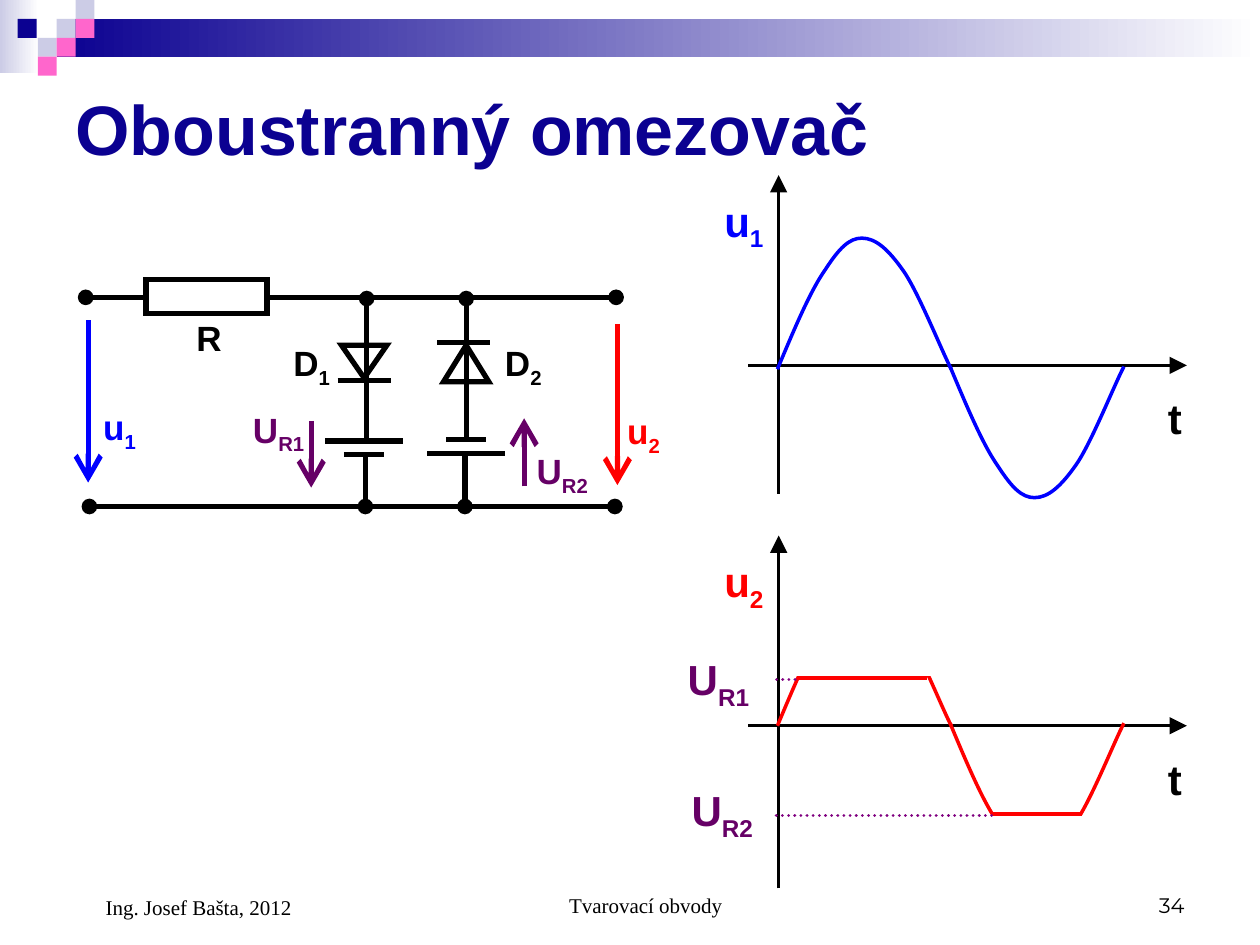
from lxml.etree import SubElement
from pptx import Presentation
from pptx.dml.color import RGBColor as RGB
from pptx.enum.dml import MSO_LINE as DASH
from pptx.enum.shapes import MSO_CONNECTOR as CONN, MSO_SHAPE as SHAPE
from pptx.enum.text import MSO_ANCHOR as ANCHOR, PP_ALIGN as ALIGN
from pptx.oxml.ns import qn
from pptx.util import Cm, Pt

COLORS = {"ink": "000000", "navy": "0B0191", "lilac": "CCCCE6", "pink": "FF66CC",
          "white": "FFFFFF", "blue": "0000FF", "red": "FF0000",
          "plum": "660066", "purple": "800080"}
HALF_WAVE = [(0.13, 0.31), (0.26, 0.62), (0.38, 0.79), (0.49, 0.96), (0.57, 1.04),
             (0.67, 1.04), (0.78, 1.04), (0.88, 0.95), (1, 0.78), (1.12, 0.61),
             (1.31, 0.13), (1.38, 0)]


def rgb(name):
    return RGB.from_string(COLORS[name])


def inches(*values):
    return [Cm(2.54 * v) for v in values]


class Board:
    """Draws styled elements on the current slide."""

    def __init__(self, slide, font="Arial"):
        self.s, self.font = slide, font

    def title(self, text, *box):
        sp = self.s.shapes.title
        sp.left, sp.top, sp.width, sp.height = inches(*box)
        sp.text_frame.vertical_anchor = ANCHOR.MIDDLE
        p = sp.text_frame.paragraphs[0]
        p.text, p.alignment = text, ALIGN.LEFT
        self.style(p, 40, "navy", self.font, True)

    def style(self, p, size, color, font, bold):
        p.font.size, p.font.name, p.font.bold = Pt(size), font, bold
        p.font.color.rgb = rgb(color)

    def text(self, box, text, size, color, sub="", font=None, bold=True,
             align=ALIGN.LEFT, anchor=ANCHOR.TOP, margin=0):
        tf = self.s.shapes.add_textbox(*inches(*box)).text_frame
        tf.word_wrap, tf.vertical_anchor = True, anchor
        p = tf.paragraphs[0]
        p.alignment = align
        if margin:
            p._p.get_or_add_pPr().set("marL", str(inches(margin)[0]))
        p.add_run().text = text
        if sub:
            r = p.add_run()
            r.text = sub
            r._r.get_or_add_rPr().set("baseline", "-25000")
        self.style(p, size, color, font or self.font, bold)

    def shape(self, box, fill=None, line=None, width=3, kind=SHAPE.RECTANGLE, fade=False):
        sp = self.s.shapes.add_shape(kind, *inches(*box))
        sp.shadow.inherit = False
        if fade:
            sp.fill.gradient()
            sp.fill.gradient_angle = 0
            for stop, color in zip(sp.fill.gradient_stops, (fill, "white")):
                stop.color.rgb = rgb(color)
        elif fill:
            sp.fill.solid()
            sp.fill.fore_color.rgb = rgb(fill)
        else:
            sp.fill.background()
        if line:
            sp.line.color.rgb, sp.line.width = rgb(line), Pt(width)
            SubElement(sp.line._get_or_add_ln(), qn("a:miter")).set("lim", "800000")
        else:
            sp.line.fill.background()
        return sp

    def line(self, ends, color="ink", width=3, head=None, tail=None, dash=None):
        sp = self.s.shapes.add_connector(CONN.STRAIGHT, *inches(*ends))
        sp.line.color.rgb, sp.line.width = rgb(color), Pt(width)
        ln = sp.line._get_or_add_ln()
        if dash:
            sp.line.dash_style = dash
            ln.set("cap", "rnd")
        SubElement(ln, qn("a:miter")).set("lim", "800000")
        for tag, kind in (("a:headEnd", head), ("a:tailEnd", tail)):
            if kind:
                size = "med" if kind == "oval" else "lg"
                SubElement(ln, qn(tag), type=kind, w=size, len=size)
        SubElement(sp._element.spPr, qn("a:effectLst"))

    def half_wave(self, x, y, sign, color):
        builder = self.s.shapes.build_freeform(*inches(x, y))
        builder.add_line_segments([inches(x + dx, y + sign * dy) for dx, dy in HALF_WAVE],
                                  close=False)
        sp = builder.convert_to_shape()
        steps = list(sp._element.iter(qn("a:lnTo")))
        for first, *others in zip(steps[::3], steps[1::3], steps[2::3]):
            first.tag = qn("a:cubicBezTo")
            for step in others:
                first.append(step[0])
                step.getparent().remove(step)
        sp.shadow.inherit = False
        sp.fill.background()
        sp.line.color.rgb, sp.line.width = rgb(color), Pt(2)

    def graph(self, axis_y, bottom, wave_y, index, color):
        self.line((5.94, axis_y, 9.42, axis_y), width=1.5, tail="triangle")
        self.line((6.18, bottom, 6.18, axis_y - 1.51), width=1.5, tail="triangle")
        self.text((5.65, axis_y - 1.4, 0.56, 0.56), "u", 24, color, index)
        self.text((9.17, axis_y + 0.17, 0.56, 0.5), "t", 24, "ink")
        self.half_wave(6.17, wave_y, -1, color)
        self.half_wave(7.54, wave_y - 0.02, 1, color)

    def branch(self, x, diode, bar_y, center, plates):
        self.line((x, 3.49, x, 2.37), tail="oval")
        sp = self.shape(diode, line="ink", kind=SHAPE.ISOSCELES_TRIANGLE)
        self.line((x - 0.23, bar_y, x + 0.19, bar_y))
        self.line((x - 0.01, 4.02, x - 0.01, 3.61), head="oval")
        for y, half in plates:
            self.line((center - half, y, center + half, y))
        return sp


def main():
    prs = Presentation()
    prs.slide_width, prs.slide_height = inches(10, 7.5)
    b = Board(prs.slides.add_slide(prs.slide_layouts[5]))

    b.shape((0, 0, 0.31, 0.58), "lilac", fade=True)
    b.shape((0.45, 0.15, 9.55, 0.3), "navy", fade=True)
    for x, y, color in ((0.45, 0.15, "lilac"), (0.6, 0, "lilac"), (0.6, 0.15, "pink"),
                        (0.3, 0.3, "lilac"), (0.14, 0.15, "navy"), (0.45, 0.3, "pink"),
                        (0.3, 0.45, "pink")):
        b.shape((x, y, 0.15, 0.15), color)
    b.title("Oboustranný omezovač", 0.5, 0.5, 9, 1.03)

    b.graph(2.9, 3.92, 2.93, "1", "blue")

    b.shape((1.16, 2.22, 0.96, 0.27), line="ink")
    b.line((4.88, 4.02, 0.71, 4.02), head="oval", tail="oval")
    b.line((1.14, 2.36, 0.68, 2.36), tail="oval")
    b.line((4.89, 2.36, 2.12, 2.36), head="oval")
    b.branch(2.91, (2.71, 2.74, 0.36, 0.26), 3.02, 2.89,
             ((3.5, 0.31), (3.61, 0.16))).rotation = 180
    b.branch(3.7, (3.52, 2.74, 0.36, 0.29), 2.72, 3.7, ((3.6, 0.31), (3.49, 0.16)))
    for ends, color in (((0.7, 2.54, 0.7, 3.83), "blue"), ((4.9, 2.57, 4.9, 3.85), "red"),
                        ((2.47, 3.34, 2.47, 3.87), "plum"),
                        ((4.16, 3.86, 4.16, 3.32), "plum")):
        b.line(ends, color, tail="arrow")
    for x, y, w, text, sub, color in (
            (0.72, 3.17, 0.54, "u", "1", "blue"), (1.46, 2.46, 0.46, "R", "", "ink"),
            (4.88, 3.2, 0.56, "u", "2", "red"), (2.23, 2.66, 0.53, "D", "1", "ink"),
            (3.91, 2.66, 0.56, "D", "2", "ink"), (1.91, 3.19, 0.64, "U", "R1", "plum"),
            (4.16, 3.52, 0.65, "U", "R2", "plum")):
        b.text((x, y, w, 0.48), text, 20, color, sub)

    b.graph(5.76, 7.05, 5.76, "2", "red")
    b.shape((6.26, 4.53, 1.26, 0.83), "white", "white", 0.75)
    b.shape((7.58, 6.48, 1.26, 0.42), "white", "white", 0.75)
    b.line((6.34, 5.38, 7.36, 5.38), "red", 2)
    b.line((7.88, 6.46, 8.57, 6.46), "red", 2)
    b.line((6.31, 5.39, 6.12, 5.39), "purple", 1.75, dash=DASH.ROUND_DOT)
    b.line((7.87, 6.47, 6.15, 6.47), "purple", 1.75, dash=DASH.ROUND_DOT)
    b.text((5.36, 5.14, 0.76, 0.56), "U", 24, "plum", "R1")
    b.text((5.39, 6.18, 0.76, 0.56), "U", 24, "plum", "R2")

    for box, text, font, align, margin in (
            ((3.42, 6.83, 3.17, 0.5), "Tvarovací obvody", "Times New Roman", ALIGN.CENTER, 0.24),
            ((7.17, 6.83, 2.33, 0.5), "34", "Montserrat", ALIGN.RIGHT, 0),
            ((0.5, 6.83, 2.33, 0.52), "Ing. Josef Bašta, 2012", "Times New Roman",
             ALIGN.LEFT, 0.24)):
        b.text(box, text, 12, "ink", font=font, bold=False, align=align,
               anchor=ANCHOR.BOTTOM, margin=margin)

    prs.save("out.pptx")


if __name__ == "__main__":
    main()
